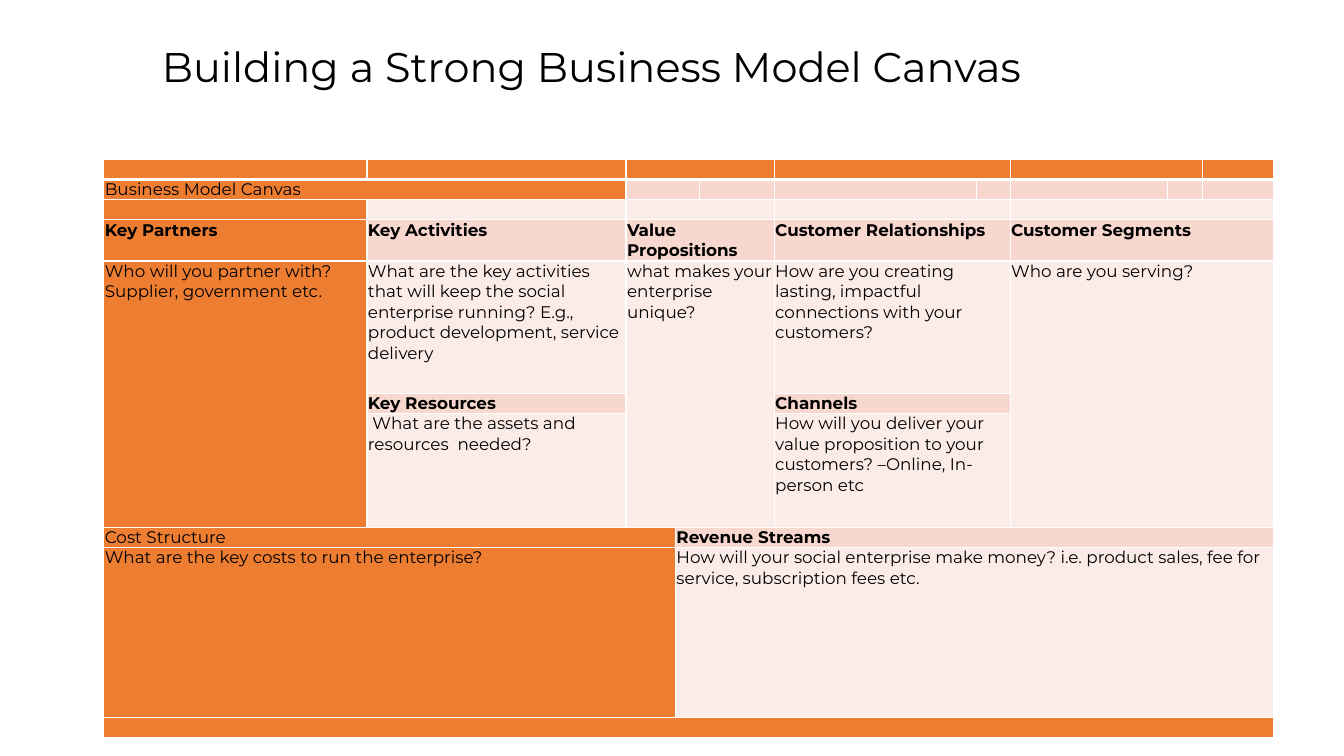
from lxml import etree
from pptx import Presentation
from pptx.dml.color import RGBColor
from pptx.enum.text import MSO_ANCHOR, PP_ALIGN
from pptx.oxml.ns import qn
from pptx.util import Inches, Pt

CENTER = PP_ALIGN.CENTER
MIDDLE, TOP = MSO_ANCHOR.MIDDLE, MSO_ANCHOR.TOP

FONT = "Montserrat"
COLORS = {"main": "ED7D31", "head": "F8D7CE", "body": "FCECE8",
          "line": "FFFFFF", "text": "000000"}

TITLE = "Building a Strong Business Model Canvas"
COLS = [2.61, 2.57, 0.49, 0.24, 0.74, 2.01, 0.33, 1.56, 0.35, 0.7]
ROWS = [0.2, 0.2, 0.2, 0.41, 1.31, 0.2, 1.13, 0.2, 1.69, 0.2]
HEADS = (1, 3, 5, 7)  # rows with the heading tint

# Each row lists its blocks: column, rows down, columns across, text, bold
BLOCKS = [
    [(0, 1, 1, "", False), (1, 1, 1, "", False), (2, 1, 3, "", False),
     (5, 1, 2, "", False), (7, 1, 2, "", False), (9, 1, 1, "", False)],
    [(0, 1, 2, "Business Model Canvas", False), (2, 1, 2, "", False)]
    + [(col, 1, 1, "", False) for col in range(4, 10)],
    [(0, 1, 1, "", False), (1, 1, 1, "", False), (2, 1, 3, "", False),
     (5, 1, 2, "", False), (7, 1, 3, "", False)],
    [(0, 1, 1, "Key Partners", True),
     (1, 1, 1, "Key Activities", True),
     (2, 1, 3, "Value Propositions", True),
     (5, 1, 2, "Customer Relationships", True),
     (7, 1, 3, "Customer Segments", True)],
    [(0, 3, 1, "Who will you partner with? Supplier, government etc.", False),
     (1, 1, 1, "What are the key activities that will keep the social enterprise "
               "running? E.g., product development, service delivery", False),
     (2, 3, 3, "what makes your enterprise unique?", False),
     (5, 1, 2, "How are you creating lasting, impactful connections with your "
               "customers?", False),
     (7, 3, 3, "Who are you serving?", False)],
    [(1, 1, 1, "Key Resources", True), (5, 1, 2, "Channels", True)],
    [(1, 1, 1, " What are the assets and resources  needed?", False),
     (5, 1, 2, "How will you deliver your value proposition to your customers? "
               "–Online, In-person etc", False)],
    [(0, 1, 3, "Cost Structure", False), (3, 1, 7, "Revenue Streams", True)],
    [(0, 1, 3, "What are the key costs to run the enterprise?", False),
     (3, 1, 7, "How will your social enterprise make money? i.e. product sales, "
               "fee for service, subscription fees etc.", False)],
    [(0, 1, 10, "", False)],
]


def rgb(name):
    return RGBColor.from_string(COLORS[name])


def set_font(para, size, bold=False):
    para.font.name = FONT
    para.font.size = Pt(size)
    para.font.bold = bold
    para.font.color.rgb = rgb("text")


def add_borders(cell, low):
    props = cell._tc.get_or_add_tcPr()
    for i, (side, width) in enumerate([("L", 1), ("R", 1), ("T", 1), ("B", low)]):
        line = etree.Element(qn("a:ln" + side), w=str(Pt(width)))
        fill = etree.SubElement(line, qn("a:solidFill"))
        etree.SubElement(fill, qn("a:srgbClr"), val=COLORS["line"])
        props.insert(i, line)


def style_cell(cell, tint, low):
    cell.margin_left = cell.margin_right = Inches(0.01)
    cell.margin_top = cell.margin_bottom = 0
    cell.fill.solid()
    cell.fill.fore_color.rgb = rgb(tint)
    add_borders(cell, low)
    # Small end mark keeps empty rows low
    para = cell.text_frame.paragraphs[0]
    etree.SubElement(para._p, qn("a:endParaRPr"), sz="1000")


deck = Presentation()
deck.slide_width, deck.slide_height = Inches(13.33), Inches(7.5)
slide = deck.slides.add_slide(deck.slide_layouts[6])

# Title
box = slide.shapes.add_textbox(Inches(1.03), Inches(0.41), Inches(9.68), Inches(0.85))
frame = box.text_frame
frame.word_wrap = True
frame.vertical_anchor = TOP
para = frame.paragraphs[0]
para.text = TITLE
para.alignment = CENTER
para.line_spacing = 0.9
set_font(para, 29.6)

# Canvas table
table = slide.shapes.add_table(
    len(ROWS), len(COLS), Inches(1.03), Inches(1.58),
    Inches(sum(COLS)), Inches(sum(ROWS))).table
table.first_row = table.horz_banding = False
for col, width in zip(table.columns, COLS):
    col.width = Inches(width)
for row, height in zip(table.rows, ROWS):
    row.height = Inches(height)

# Blocks of the canvas
for top, blocks in enumerate(BLOCKS):
    for left, down, across, text, bold in blocks:
        if left == 0 or top == 0:
            tint = "main"
        else:
            tint = "head" if top in HEADS else "body"
        for r in range(top, top + down):
            for c in range(left, left + across):
                style_cell(table.cell(r, c), tint, 3 if top == 0 else 1)
        cell = table.cell(top, left)
        if down * across > 1:
            cell.merge(table.cell(top + down - 1, left + across - 1))
        if text:
            para = cell.text_frame.paragraphs[0]
            para.text = text
            set_font(para, 12, bold)
            cell.vertical_anchor = MIDDLE if top == 1 else TOP

deck.save("out.pptx")
